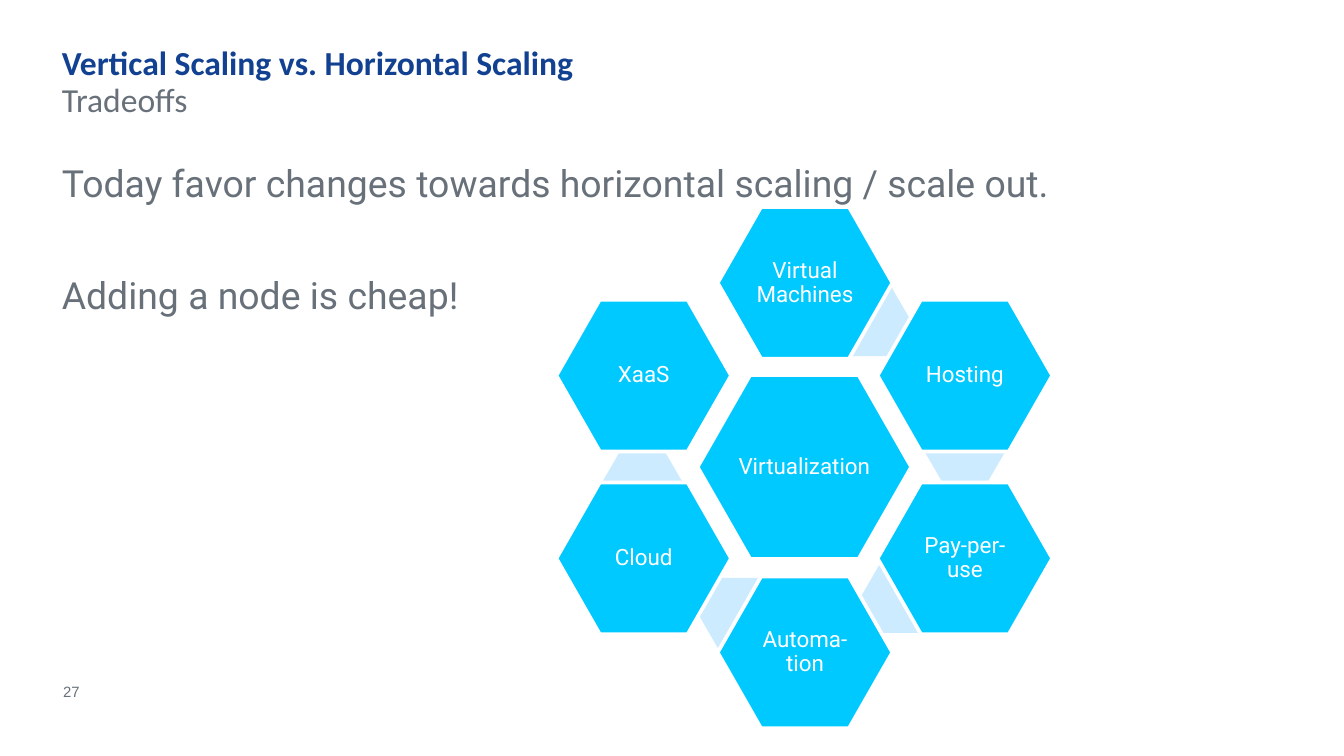
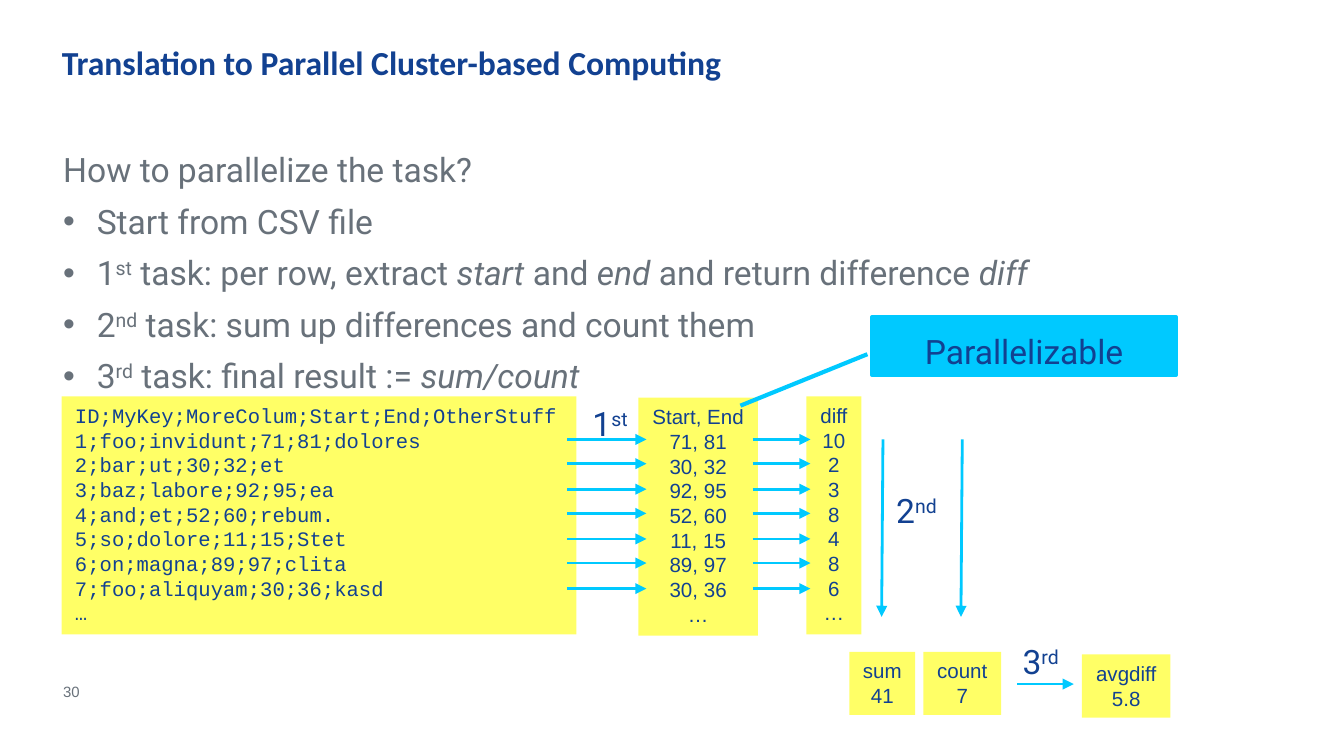
from pptx import Presentation
from pptx.dml.color import RGBColor
from pptx.enum.shapes import MSO_CONNECTOR, MSO_SHAPE
from pptx.enum.text import MSO_ANCHOR, MSO_AUTO_SIZE, PP_ALIGN
from pptx.util import Pt
from lxml import etree

PX = 9144
NS = "{http://schemas.openxmlformats.org/drawingml/2006/main}"
LEFT, MID = PP_ALIGN.LEFT, PP_ALIGN.CENTER
TOP, CORE = MSO_ANCHOR.TOP, MSO_ANCHOR.MIDDLE
FIT, FIXED = MSO_AUTO_SIZE.SHAPE_TO_FIT_TEXT, MSO_AUTO_SIZE.NONE
HEX, RECT, CALL = MSO_SHAPE.HEXAGON, MSO_SHAPE.RECTANGLE, MSO_SHAPE.LINE_CALLOUT_1
NAVY, GREY, CYAN = "124191", "68717A", "00C9FF"
PALE, LEMON, WHITE = "CCEBFF", "FFFF66", "FFFFFF"
HEAD, SANS, MONO, PLAIN = "Calibri", "Roboto", "Courier New", "Arial"


def tint(fill, hue):
    fill.solid()
    fill.fore_color.rgb = RGBColor.from_string(hue)


def write(shape, lines, face, size, hue, side=LEFT, pad=(0, 0), wrap=True,
          anchor=TOP, after=0, pitch=None, bold=False):
    frame = shape.text_frame
    frame.word_wrap = wrap
    frame.auto_size = FIXED if wrap else FIT
    frame.vertical_anchor = anchor
    frame.margin_left = frame.margin_right = pad[0] * PX
    frame.margin_top = frame.margin_bottom = pad[1] * PX
    for row, line in enumerate(lines):
        para = frame.add_paragraph() if row else frame.paragraphs[0]
        para.alignment = side
        para.line_spacing = pitch
        para.space_before, para.space_after = Pt(0), Pt(after)
        for part in line.split("|"):
            if part == "\n":
                para.add_line_break()
                continue
            run = para.add_run()
            run.text = part.lstrip("^*")
            run.font.name, run.font.size, run.font.bold = face, Pt(size), bold
            tint(run.font.fill, hue)
            if part[0] == "*":
                run.font.italic = True
            if part[0] == "^":
                run.font._element.set("baseline", "30000")


deck = Presentation()
deck.slide_width, deck.slide_height = 1000 * PX, 1125 * PX // 2
trade = deck.slides.add_slide(deck.slide_layouts[3])
tasks = deck.slides.add_slide(deck.slide_layouts[1])

title = {"face": HEAD, "size": 18, "hue": NAVY, "bold": True}
sub = {"face": HEAD, "size": 18, "hue": GREY, "after": 6}
large = {"face": SANS, "size": 20, "hue": GREY, "after": 6}
body = {"face": SANS, "size": 18, "hue": GREY, "after": 6}

fields = [
    (trade, 0, (46, 31, 900, 34), ["Vertical Scaling vs. Horizontal Scaling"], title),
    (trade, 1, (46, 119, 900, 404),
     ["Today favor changes towards horizontal scaling / scale out.",
      "Adding a node is cheap!"], large),
    (trade, 2, (46, 59, 900, 33), ["Tradeoffs"], sub),
    (tasks, 0, (46, 31, 900, 34),
     ["Translation to Parallel Cluster-based Computing"], title),
    (tasks, 1, (47, 111, 900, 362),
     ["How to parallelize the task?",
      "Start from CSV file",
      "1|^st| task: per row, extract |*start| and |*end| and return difference |*diff",
      "2|^nd| task: sum up differences and count them",
      "3|^rd| task: final result := |*sum/count"], body),
]
for page, idx, box, lines, look in fields:
    field = page.placeholders[idx]
    field.left, field.top, field.width, field.height = [n * PX for n in box]
    write(field, lines, **look)
    for row, para in enumerate(field.text_frame.paragraphs):
        props = para._p.get_or_add_pPr()
        dot = look is body and row > 0
        props.set("marL", "228600" if dot else "0")
        props.set("indent", "-228600" if dot else "0")
        if dot:
            etree.SubElement(props, NS + "buFont").set("typeface", PLAIN)
            etree.SubElement(props, NS + "buChar").set("char", "•")
        else:
            etree.SubElement(props, NS + "buNone")
trade.placeholders[1].text_frame.paragraphs[1].space_before = Pt(30)

node = {"face": SANS, "size": 12, "hue": WHITE, "side": MID, "pad": (2, 2),
        "anchor": CORE, "pitch": 0.9}
cell = {"face": PLAIN, "size": 11, "hue": NAVY, "side": MID, "pad": (10, 5),
        "wrap": False}
code = {**cell, "face": MONO, "side": LEFT}
badge = {"face": SANS, "size": 18, "hue": NAVY, "side": MID, "pad": (10, 10)}

forms = []
for x, y in [(618, 213), (688, 310), (640, 419), (519, 430), (448, 333)]:
    forms.append((trade, HEX, (x, y, 60, 52), PALE, None, 0, [0.289], [], node))
forms.append((trade, HEX, (519, 279, 159, 137), CYAN, WHITE, 2, [0.286],
              ["Virtualization"], node))
ring = [
    (534, 154, "Virtual Machines"), (653, 223, "Hosting"), (653, 359, "Pay-per-use"),
    (534, 429, "Automa-|\n|tion"), (414, 359, "Cloud"), (414, 223, "XaaS"),
]
for x, y, name in ring:
    forms.append((trade, HEX, (x, y, 130, 113), CYAN, WHITE, 2, [0.286], [name], node))

rows = ["ID;MyKey;MoreColum;Start;End;OtherStuff", "1;foo;invidunt;71;81;dolores",
        "2;bar;ut;30;32;et", "3;baz;labore;92;95;ea", "4;and;et;52;60;rebum.",
        "5;so;dolore;11;15;Stet", "6;on;magna;89;97;clita",
        "7;foo;aliquyam;30;36;kasd", "…"]
pairs = ["Start, End", "71, 81", "30, 32", "92, 95", "52, 60", "11, 15",
         "89, 97", "30, 36", "…"]
gaps = ["diff", "10", "2", "3", "8", "4", "8", "6", "…"]
cards = [
    ((46, 295, 383, 177), rows, code), ((475, 296, 89, 177), pairs, cell),
    ((600, 295, 41, 177), gaps, cell), ((632, 485, 49, 47), ["sum", "41"], cell),
    ((687, 485, 58, 47), ["count", "7"], cell),
    ((805, 487, 66, 47), ["avgdiff", "5.8"], cell),
]
for box, lines, look in cards:
    forms.append((tasks, RECT, box, LEMON, None, 0, [], lines, look))
forms.append((tasks, CALL, (649, 236, 226, 43), CYAN, CYAN, 2.25,
              [1.533, -0.434, 0.642, -0.016], ["Parallelizable"], badge))

for page, kind, box, hue, edge, width, bends, lines, look in forms:
    form = page.shapes.add_shape(kind, *[n * PX for n in box])
    form.shadow.inherit = False
    tint(form.fill, hue)
    if edge:
        tint(form.line.fill, edge)
        form.line.width = Pt(width)
    else:
        form.line.fill.background()
    for i, bend in enumerate(bends):
        form.adjustments[i] = bend
    if lines:
        write(form, lines, **look)

foot = {"face": PLAIN, "size": 8, "hue": GREY, "wrap": False}
step = {"face": SANS, "size": 18, "hue": NAVY, "pad": (10, 5), "wrap": False}
notes = [
    (trade, (47, 508, 16, 15), "27", foot), (tasks, (47, 508, 16, 15), "30", foot),
    (tasks, (431, 295, 50, 40), "1|^st", step),
    (tasks, (657, 360, 54, 40), "2|^nd", step),
    (tasks, (751, 472, 51, 40), "3|^rd", step),
]
for page, box, line, look in notes:
    write(page.shapes.add_textbox(*[n * PX for n in box]), [line], **look)

paths = [(657, 327, 656, 459), (716, 327, 715, 459), (757, 509, 799, 509)]
for i in range(7):
    y = 327 + 37 * i // 2
    paths += [(422, y, 481, y), (560, y, 603, y)]
for ends in paths:
    arrow = tasks.shapes.add_connector(MSO_CONNECTOR.STRAIGHT, *[n * PX for n in ends])
    tint(arrow.line.fill, CYAN)
    arrow.line.width = Pt(1.5)
    etree.SubElement(arrow.line._get_or_add_ln(), NS + "tailEnd").set("type", "triangle")
    etree.SubElement(arrow._element.spPr, NS + "effectLst")

deck.save("out.pptx")
